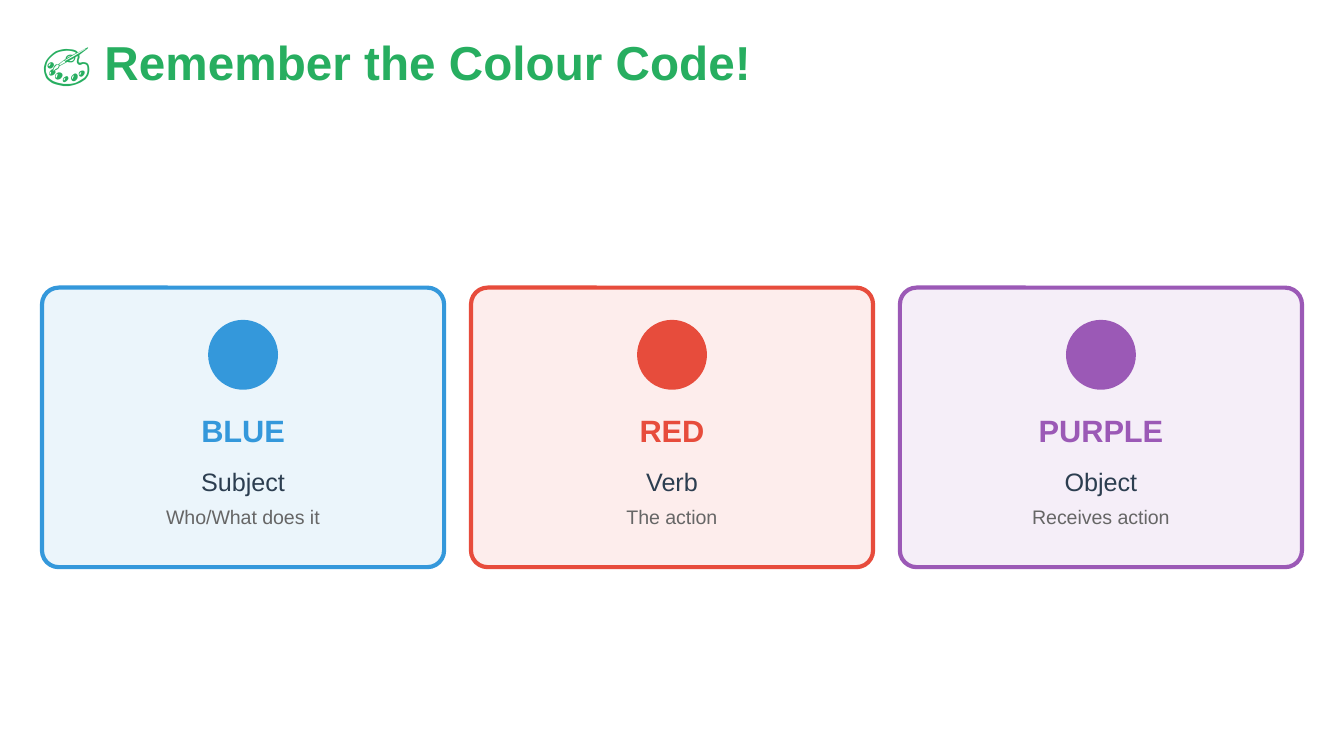
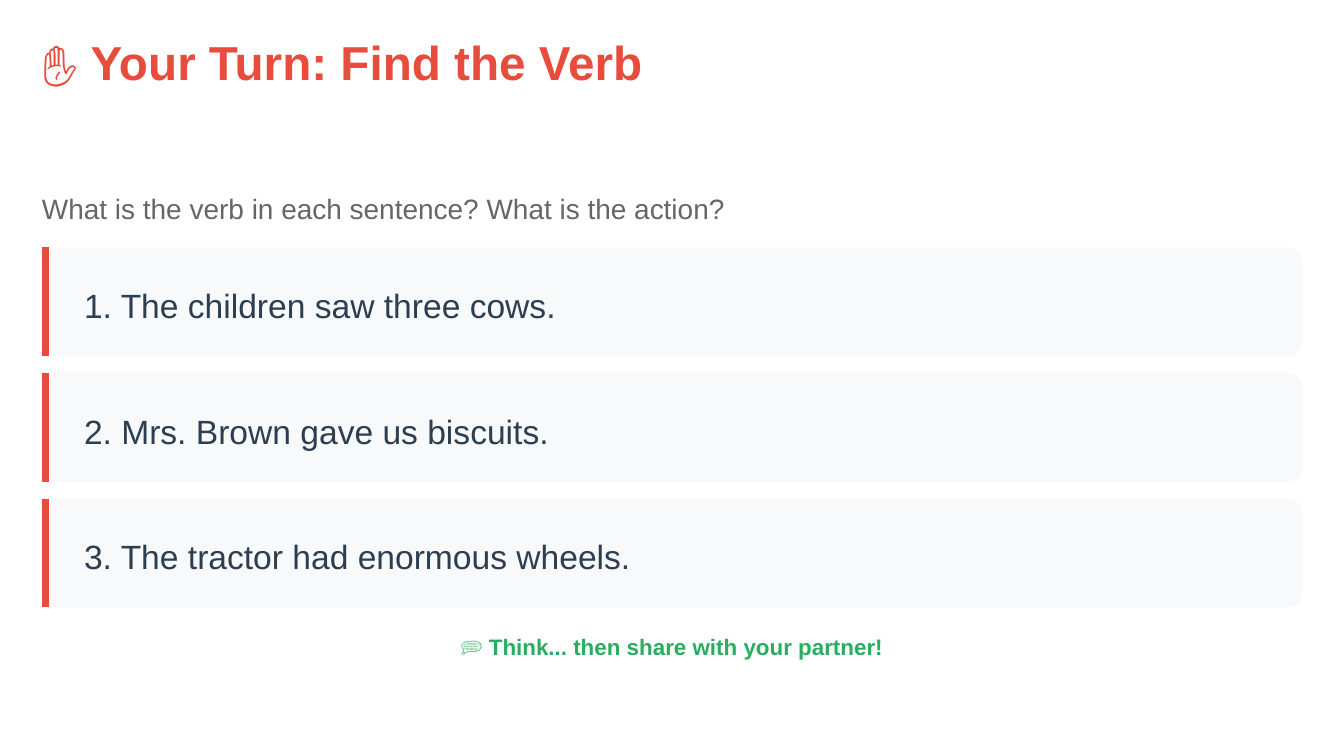
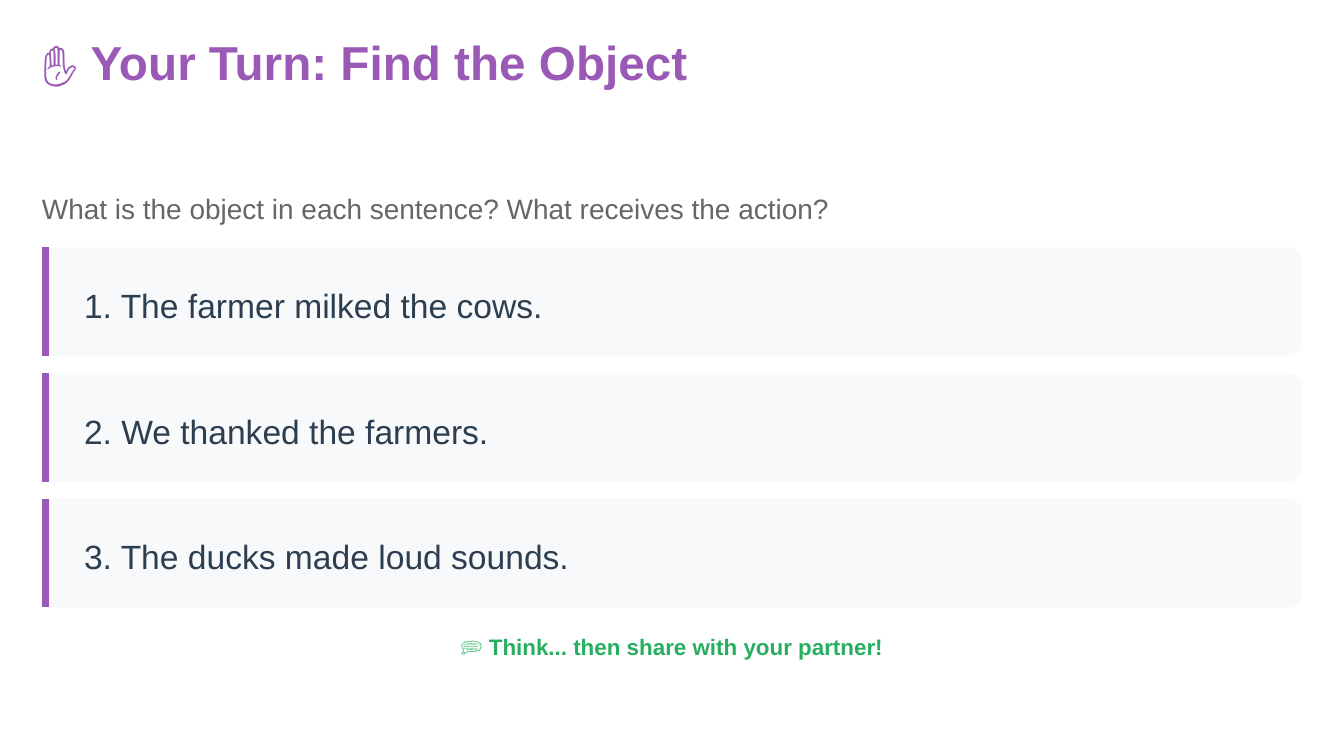
from lxml.etree import SubElement
from pptx import Presentation
from pptx.dml.color import RGBColor
from pptx.enum.shapes import MSO_CONNECTOR as LINE, MSO_SHAPE as SHAPE
from pptx.enum.text import MSO_ANCHOR as ANCHOR, MSO_AUTO_SIZE as FIT, PP_ALIGN as ALIGN
from pptx.oxml.ns import qn
from pptx.util import Inches, Pt

GREEN, BLUE, RED, PURPLE = "27AE60", "3498DB", "E74C3C", "9B59B6"
INK, GREY, PANEL = "2C3E50", "666666", "F8F9FA"


def paint(target, hex_code):
    if hasattr(target, "solid"):
        target.solid()
        target = target.fore_color
    target.rgb = RGBColor.from_string(hex_code)


def write(box, text, size, hex_code, bold=False, align=ALIGN.LEFT, leading=1.4, after=3):
    frame = box.text_frame
    frame.word_wrap = True
    frame.auto_size = FIT.NONE
    frame.vertical_anchor = ANCHOR.TOP
    frame.margin_left = frame.margin_top = frame.margin_right = frame.margin_bottom = 0
    frame.text = text
    paragraph = frame.paragraphs[0]
    paragraph.alignment = align
    paragraph.line_spacing = Pt(size * leading)
    paragraph.space_before = Pt(0)
    paragraph.space_after = Pt(after)
    paragraph.font.name = "Arial"
    paragraph.font.size = Pt(size)
    paragraph.font.bold = bold
    paint(paragraph.font.color, hex_code)


deck = Presentation()
deck.slide_width = Inches(10)
deck.slide_height = deck.slide_width * 9 // 16
margin = deck.slide_width // 32
content_width = deck.slide_width - 2 * margin

headings = [
    ("🎨 Remember the Colour Code!", GREEN, 5.45, 15),
    ("✋ Your Turn: Find the Verb", RED, 4.79, 11.2),
    ("✋ Your Turn: Find the Object", PURPLE, 5.07, 11.2),
]
slides = []
for heading, accent, width, after in headings:
    slide = deck.slides.add_slide(deck.slide_layouts[5])
    title = slide.shapes.title
    title.left, title.top = margin, margin
    title.width, title.height = Inches(width), Inches(0.35)
    write(title, heading, 25.5, accent, bold=True, leading=1, after=after)
    slides.append(slide)

code_slide, *practice_slides = slides

codes = [
    ("BLUE", "Subject", "Who/What does it", BLUE, "EBF5FB"),
    ("RED", "Verb", "The action", RED, "FDEDEC"),
    ("PURPLE", "Object", "Receives action", PURPLE, "F5EEF8"),
]
card_gap = Inches(0.2)
card_width = (content_width - 2 * card_gap) // 3
card_top, card_height = Inches(2.14), Inches(2.08)
dot_size, label_inset = Inches(0.52), Inches(0.22)

for column, (name, role, meaning, accent, tint) in enumerate(codes):
    left = margin + column * (card_width + card_gap)
    card = code_slide.shapes.add_shape(SHAPE.ROUNDED_RECTANGLE, left, card_top, card_width, card_height)
    card.adjustments[0] = 0.06
    card.shadow.inherit = False
    paint(card.fill, tint)
    paint(card.line.color, accent)
    card.line.width = Pt(2.25)

    dot_left = left + (card_width - dot_size) // 2
    dot = code_slide.shapes.add_shape(SHAPE.OVAL, dot_left, Inches(2.38), dot_size, dot_size)
    dot.shadow.inherit = False
    paint(dot.fill, accent)
    dot.line.fill.background()

    labels = [
        (name, 3.02, 0.32, 16.5, accent, True),
        (role, 3.43, 0.26, 13.5, INK, False),
        (meaning, 3.73, 0.2, 10.5, GREY, False),
    ]
    for text, top, height, size, ink, bold in labels:
        label = code_slide.shapes.add_textbox(
            left + label_inset, Inches(top), card_width - 2 * label_inset, Inches(height))
        write(label, text, size, ink, bold, ALIGN.CENTER)

exercises = [
    (RED, "What is the verb in each sentence? What is the action?",
     ["The children saw three cows.", "Mrs. Brown gave us biscuits.", "The tractor had enormous wheels."]),
    (PURPLE, "What is the object in each sentence? What receives the action?",
     ["The farmer milked the cows.", "We thanked the farmers.", "The ducks made loud sounds."]),
]
row_height, row_gap = Inches(0.81), Inches(0.125)
sentence_height = Inches(0.35)
bar_weight = Pt(3.75)
line_width = Inches(9.56)

for slide, (accent, question, sentences) in zip(practice_slides, exercises):
    prompt = slide.shapes.add_textbox(margin, Inches(1.38), line_width, Inches(0.29))
    write(prompt, question, 15, GREY)

    for row, sentence in enumerate(sentences):
        top = Inches(1.84) + row * (row_height + row_gap)
        panel = slide.shapes.add_shape(SHAPE.ROUNDED_RECTANGLE, margin, top, content_width, row_height)
        panel.adjustments[0] = 0.13
        panel.shadow.inherit = False
        paint(panel.fill, PANEL)
        panel.line.fill.background()

        bar_x = margin + bar_weight // 2
        bar = slide.shapes.add_connector(LINE.STRAIGHT, bar_x, top, bar_x, top + row_height)
        paint(bar.line.color, accent)
        bar.line.width = bar_weight
        SubElement(bar._element.spPr, qn("a:effectLst"))

        line = slide.shapes.add_textbox(
            2 * margin, top + (row_height - sentence_height) // 2, Inches(8.98), sentence_height)
        write(line, f"{row + 1}. {sentence}", 18, INK)

    reminder = slide.shapes.add_textbox(
        (deck.slide_width - line_width) // 2, Inches(4.68), line_width, Inches(0.23))
    write(reminder, "💭 Think... then share with your partner!", 12, GREEN, True, ALIGN.CENTER)

deck.save("out.pptx")
